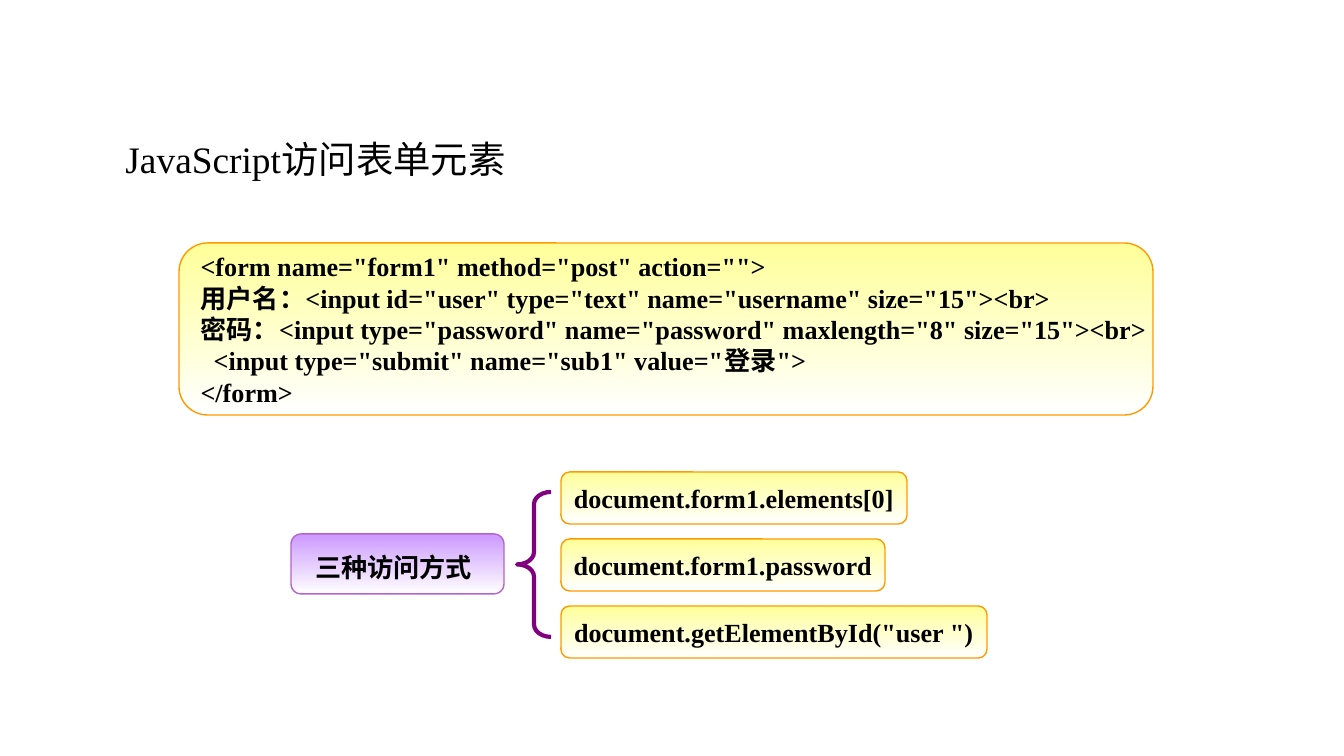
"""Build a slide on the ways JavaScript accesses form elements."""
import pptx
import pptx.util
from pptx.dml.color import RGBColor
from pptx.enum.shapes import MSO_SHAPE
from pptx.enum.text import MSO_ANCHOR, MSO_AUTO_SIZE, PP_ALIGN

PX = 914400 / 134.4
SERIF = "Times New Roman"
BLACK = RGBColor(0x00, 0x00, 0x00)
WHITE = RGBColor(0xFF, 0xFF, 0xFF)
YELLOW = RGBColor(0xFF, 0xFF, 0x99)
ORANGE = RGBColor(0xFF, 0x99, 0x00)
LILAC = RGBColor(0xCC, 0x99, 0xFF)
VIOLET = RGBColor(0xB5, 0x63, 0xCF)
PURPLE = RGBColor(0x80, 0x00, 0x80)

TITLE = "JavaScript访问表单元素"
FORM_CODE = [
    '<form name="form1" method="post" action="">',
    '用户名：<input id="user" type="text" name="username" size="15"><br>',
    '密码：<input type="password" name="password" maxlength="8" size="15"><br>',
    '  <input type="submit" name="sub1" value="登录">',
    "</form>",
]
LABEL = "三种访问方式"
METHODS = [
    ("document.form1.elements[0]", 346),
    ("document.form1.password", 324),
    ('document.getElementById("user ")', 426),
]
METHOD_LEFT, METHOD_TOP, METHOD_HEIGHT, METHOD_PITCH = 561, 472, 52, 67

TITLE_FONT = {"name": SERIF, "size": pptx.util.Pt(20), "bold": False}
CODE_FONT = {"name": SERIF, "size": pptx.util.Pt(14), "bold": True}
SPACE_FONT = {"name": "Arial", "size": pptx.util.Pt(18), "bold": True}
TITLE_FRAME = {"word_wrap": True, "vertical_anchor": MSO_ANCHOR.TOP,
               "auto_size": MSO_AUTO_SIZE.NONE}
BOX_FRAME = {"word_wrap": False, "vertical_anchor": MSO_ANCHOR.MIDDLE}


def emu(*lengths):
    return [round(length * PX) for length in lengths]


def set_all(target, values):
    for name, value in values.items():
        setattr(target, name, value)


def add_text(paragraph, text, font_format, align):
    paragraph.alignment = align
    run = paragraph.add_run()
    run.text = text
    set_all(run.font, font_format)
    run.font.color.rgb = BLACK


def add_box(slide, place, lines, top_color, border, align=PP_ALIGN.CENTER):
    box = slide.shapes.add_shape(MSO_SHAPE.ROUNDED_RECTANGLE, *emu(*place))
    box.shadow.inherit = False
    box.fill.gradient()
    box.fill.gradient_angle = 270
    for stop, color in zip(box.fill.gradient_stops, (top_color, WHITE)):
        stop.color.rgb = color
    box.line.color.rgb = border
    box.line.width = pptx.util.Pt(0.75)
    frame = box.text_frame
    set_all(frame, BOX_FRAME)
    for index, line in enumerate(lines):
        paragraph = frame.add_paragraph() if index else frame.paragraphs[0]
        add_text(paragraph, line, CODE_FONT, align)
    return box


def main():
    deck = pptx.Presentation()
    deck.slide_width, deck.slide_height = emu(1344, 756)
    slide = deck.slides.add_slide(deck.slide_layouts[5])

    title = slide.shapes.title
    title.left, title.top, title.width, title.height = emu(112, 129, 481, 59)
    set_all(title.text_frame, TITLE_FRAME)
    add_text(title.text_frame.paragraphs[0], TITLE, TITLE_FONT, PP_ALIGN.LEFT)

    add_box(slide, (179, 243, 974, 172), FORM_CODE, YELLOW, ORANGE, PP_ALIGN.LEFT)

    label = add_box(slide, (291, 534, 213, 60), [LABEL], LILAC, VIOLET)
    add_text(label.text_frame.paragraphs[0], " ", SPACE_FONT, PP_ALIGN.CENTER)

    for row, (method, width) in enumerate(METHODS):
        top = METHOD_TOP + row * METHOD_PITCH
        add_box(slide, (METHOD_LEFT, top, width, METHOD_HEIGHT), [method], YELLOW, ORANGE)

    brace = slide.shapes.add_shape(MSO_SHAPE.LEFT_BRACE, *emu(517, 492, 34, 145))
    brace.shadow.inherit = False
    brace.adjustments[0] = 0.36
    brace.fill.background()
    brace.line.color.rgb = PURPLE
    brace.line.width = pptx.util.Pt(2.25)

    deck.save("out.pptx")


if __name__ == "__main__":
    main()
